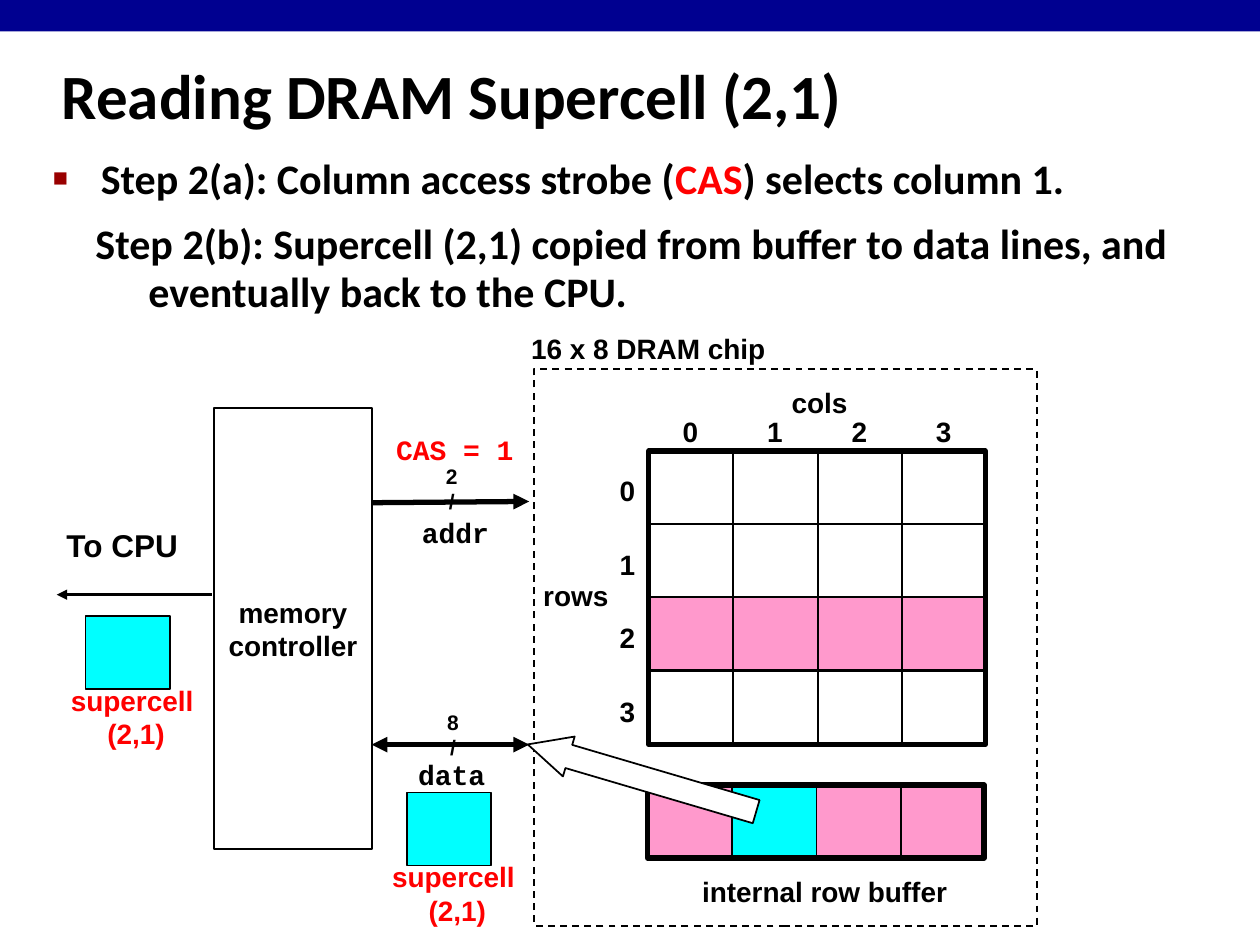
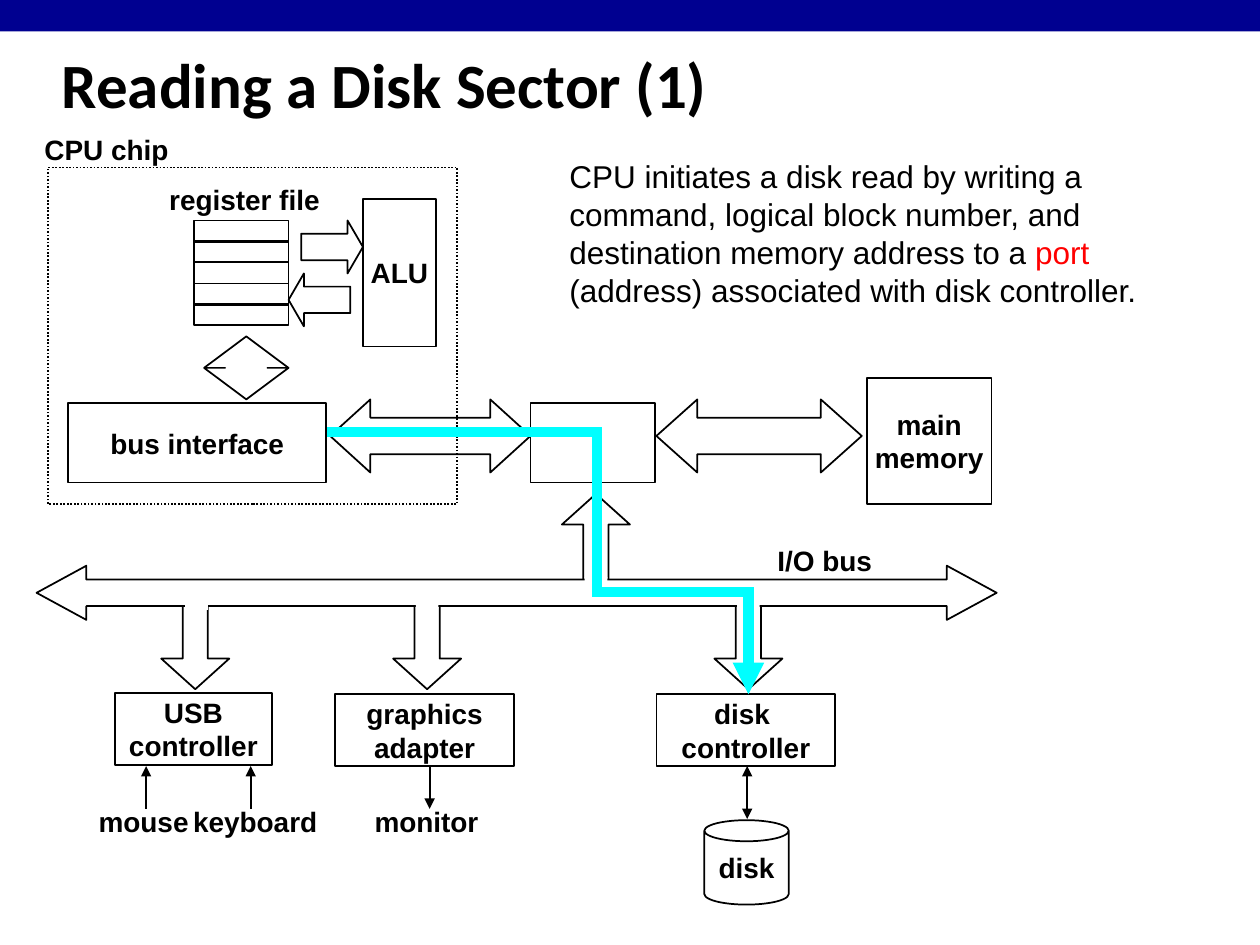
from dataclasses import dataclass
from lxml.etree import SubElement
from pptx import Presentation
from pptx.dml.color import RGBColor
from pptx.enum.dml import MSO_LINE
from pptx.enum.shapes import MSO_CONNECTOR, MSO_SHAPE
from pptx.enum.text import MSO_ANCHOR, MSO_AUTO_SIZE, PP_ALIGN
from pptx.oxml.ns import qn
from pptx.util import Pt


@dataclass(frozen=True)
class Theme:
    black: RGBColor = RGBColor.from_string("000000")
    white: RGBColor = RGBColor.from_string("FFFFFF")
    navy: RGBColor = RGBColor.from_string("000090")
    red: RGBColor = RGBColor.from_string("FF0000")
    pink: RGBColor = RGBColor.from_string("FF99CC")
    cyan: RGBColor = RGBColor.from_string("00FFFF")
    bullet: str = "990000"
    head: str = "Calibri"
    sans: str = "Arial"
    mono: str = "Courier New"
    title: int = 36
    body: int = 24
    note: int = 18
    label: int = 16
    small: int = 12


look = Theme()
PX = 9144
RECT = MSO_SHAPE.RECTANGLE


def draw(page, form, box, words="", fill=None, line=1, dash=None, bends=(),
         size=look.label, face=look.sans, ink=look.black):
    spot = [n * PX for n in box]
    if form is None:
        shape = page.shapes.add_textbox(*spot)
    else:
        shape = page.shapes.add_shape(form, *spot)
        shape.shadow.inherit = False
        if fill is None:
            shape.fill.background()
        else:
            shape.fill.solid()
            shape.fill.fore_color.rgb = fill
        if line:
            shape.line.color.rgb = look.black
            shape.line.width = Pt(line)
            if dash:
                shape.line.dash_style = dash
        else:
            shape.line.fill.background()
        for i, bend in enumerate(bends):
            shape.adjustments[i] = bend
    if words:
        frame = shape.text_frame
        frame.text = words
        frame.word_wrap = False
        frame.vertical_anchor = MSO_ANCHOR.MIDDLE
        for para in frame.paragraphs:
            para.alignment = PP_ALIGN.CENTER
            para.font.size = Pt(size)
            para.font.name = face
            para.font.bold = True
            para.font.color.rgb = ink
    return shape


def wire(page, ends, width, ink=look.black, tips=()):
    link = page.shapes.add_connector(MSO_CONNECTOR.STRAIGHT, *[n * PX for n in ends])
    link.line.color.rgb = ink
    link.line.width = Pt(width)
    props = link.element.spPr
    for tip in tips:
        SubElement(props.find(qn("a:ln")), qn(f"a:{tip}End"), type="triangle")
    SubElement(props, qn("a:effectLst"))


deck = Presentation()
deck.slide_width = 1000 * PX
deck.slide_height = 750 * PX
pages = []
for plan, top, words in ((1, 33, "Reading DRAM Supercell (2,1)"),
                         (5, 25, "Reading a Disk Sector (1)")):
    page = deck.slides.add_slide(deck.slide_layouts[plan])
    title = page.shapes.title
    title.left, title.top, title.width, title.height = [n * PX for n in (39, top, 830, 83)]
    title.text_frame.text = words
    title.text_frame.auto_size = MSO_AUTO_SIZE.NONE
    title.text_frame.vertical_anchor = MSO_ANCHOR.MIDDLE
    para = title.text_frame.paragraphs[0]
    para.alignment = PP_ALIGN.LEFT
    para.font.size = Pt(look.title)
    para.font.name = look.head
    para.font.bold = True
    para.font.color.rgb = look.black
    pages.append(page)
dram, disk = pages

step = dram.placeholders[1]
step.left, step.top, step.width, step.height = [n * PX for n in (32, 116, 952, 59)]
props = step.text_frame.paragraphs[0]._p.get_or_add_pPr()
props.set("marL", str(38 * PX))
props.set("indent", str(-38 * PX))
SubElement(SubElement(props, qn("a:buClr")), qn("a:srgbClr"), val=look.bullet)
SubElement(props, qn("a:buSzPct"), val="60000")
SubElement(props, qn("a:buFont"), typeface=look.sans)
SubElement(props, qn("a:buChar"), char="■")

copied = draw(dram, None, (66, 171, 884, 91))
props = copied.text_frame.paragraphs[0]._p.get_or_add_pPr()
props.set("marL", str(42 * PX))
props.set("indent", str(-42 * PX))
copied.text_frame.paragraphs[0].line_spacing = 0.95

note = draw(disk, None, (442, 120, 481, 130))
for shape, size, face, bold, parts in (
    (step, look.body, look.head, True,
     ("Step 2(a): Column access strobe (", "CAS", ") selects column 1.")),
    (copied, look.body, look.head, True,
     ("Step 2(b): Supercell (2,1) copied from buffer to data lines, and eventually back to the CPU.",)),
    (note, look.note, look.sans, False,
     ("CPU initiates a disk read by writing a command, logical block number, "
      "and destination memory address to a ", "port ",
      "(address) associated with disk controller.")),
):
    shape.text_frame.word_wrap = True
    shape.text_frame.auto_size = MSO_AUTO_SIZE.NONE
    para = shape.text_frame.paragraphs[0]
    para.space_before = Pt(0)
    para.font.size = Pt(size)
    para.font.name = face
    para.font.bold = bold
    para.font.color.rgb = look.black
    for i, part in enumerate(parts):
        run = para.add_run()
        run.text = part
        if i == 1:
            run.font.color.rgb = look.red

for row in range(4):
    drop = 175 * row // 3
    for col in range(4):
        draw(dram, RECT, (516 + 200 * col // 3, 358 + drop, 67, 58),
             fill=look.pink if row == 2 else look.white)
    draw(dram, None, (482, 371 + drop, 32, 37), str(row))
    draw(dram, None, (532 + 67 * row, 324, 32, 37), str(row))
draw(dram, RECT, (515, 358, 267, 233), line=3)
draw(dram, RECT, (424, 293, 399, 442), dash=MSO_LINE.DASH)
draw(dram, RECT, (170, 324, 125, 350), "memory\ncontroller", fill=look.white)

for box, words in (((618, 301, 65, 37), "cols"),
                   ((421, 454, 72, 37), "rows"),
                   ((547, 689, 215, 37), "internal row buffer"),
                   ((411, 258, 207, 37), "16 x 8 DRAM chip")):
    draw(dram, None, box, words)
for box, words, ink in (((304, 338, 114, 37), "CAS = 1", look.red),
                        ((325, 404, 73, 37), "addr", look.black),
                        ((322, 596, 73, 37), "data", look.black)):
    draw(dram, None, box, words, face=look.mono, ink=ink)
wire(dram, (295, 399, 420, 398), 3, tips=("tail",))
wire(dram, (295, 591, 420, 591), 3, tips=("head", "tail"))
draw(dram, None, (344, 363, 29, 50), "2\n/", size=look.small)
draw(dram, None, (345, 558, 29, 50), "8\n/", size=look.small)

for col in (0, 2, 3, 1):
    draw(dram, RECT, (515 + 200 * col // 3, 623, 67, 58),
         fill=look.cyan if col == 1 else look.pink)
draw(dram, RECT, (514, 623, 267, 58), line=3)
arrow = draw(dram, MSO_SHAPE.DOWN_ARROW, (493, 523, 33, 189), fill=look.white, bends=(0.58, 1.03))
arrow.rotation = 106.4

for left, top in ((301, 629), (46, 489)):
    draw(dram, None, (left, top + 48, 124, 64), "supercell \n(2,1)", ink=look.red)
    draw(dram, RECT, (left + 22, top, 67, 58), fill=look.cyan)
wire(dram, (168, 472, 45, 472), 1.5, tips=("tail",))
draw(dram, None, (37, 414, 120, 37), "To CPU", size=look.note)

for box, words in (((688, 300, 99, 100), "main\nmemory"),
                   ((421, 320, 99, 63), ""),
                   ((288, 158, 58, 117), "ALU"),
                   ((521, 551, 142, 57), "disk \ncontroller"),
                   ((266, 551, 142, 57), "graphics\nadapter"),
                   ((91, 550, 125, 57), "USB\ncontroller")):
    draw(disk, RECT, box, words)
for i in range(5):
    draw(disk, RECT, (154, 175 + 50 * i // 3, 75, 17))
draw(disk, RECT, (38, 133, 325, 267), dash=MSO_LINE.ROUND_DOT)

for form, box, bends in (
    (MSO_SHAPE.LEFT_RIGHT_ARROW, (521, 317, 163, 58), (0.5, 0.56)),
    (MSO_SHAPE.LEFT_RIGHT_ARROW, (262, 317, 159, 58), (0.5, 0.55)),
    (MSO_SHAPE.RIGHT_ARROW, (239, 175, 49, 42), (0.5, 0.29)),
    (MSO_SHAPE.LEFT_ARROW, (229, 217, 49, 42), (0.5, 0.29)),
    (MSO_SHAPE.UP_DOWN_ARROW, (162, 267, 67, 50), (0.2, 0.5)),
    (MSO_SHAPE.UP_ARROW, (446, 392, 54, 75), (0.37, 0.45)),
):
    draw(disk, form, box, bends=bends)
for left in (128, 312, 567):
    draw(disk, MSO_SHAPE.DOWN_ARROW, (left, 472, 54, 75), bends=(0.37, 0.45))
draw(disk, MSO_SHAPE.LEFT_RIGHT_ARROW, (29, 449, 762, 43), fill=look.white, bends=(0.49, 0.92))
for left, top in ((147, 467), (330, 466), (585, 465), (464, 458)):
    draw(disk, RECT, (left, top, 18, 17), fill=look.white, line=0)

for box, words in (((124, 140, 140, 37), "register file"),
                   ((25, 100, 119, 37), "CPU chip"),
                   ((68, 633, 92, 37), "mouse"),
                   ((143, 633, 119, 37), "keyboard"),
                   ((287, 633, 103, 37), "monitor"),
                   ((607, 426, 95, 37), "I/O bus")):
    draw(disk, None, box, words)
for left, foot, tips in ((116, 642, ("head",)), (199, 642, ("head",)),
                         (341, 642, ("tail",)), (593, 650, ("head", "tail"))):
    wire(disk, (left, 608, left, foot), 1, tips=tips)
draw(disk, MSO_SHAPE.CAN, (559, 651, 67, 67), "disk", bends=(0.25,))

for ends, tips in (((258, 343, 478, 343), ()), ((474, 343, 474, 467), ()),
                   ((470, 470, 593, 470), ()), ((594, 466, 594, 551), ("tail",))):
    wire(disk, ends, 6, look.cyan, tips)
draw(disk, RECT, (54, 320, 205, 63), "bus interface")

band = draw(disk, RECT, (0, 0, 1000, 25), fill=look.navy, line=0)
deck.slide_master.shapes.element.append(band.element)
deck.save("out.pptx")
